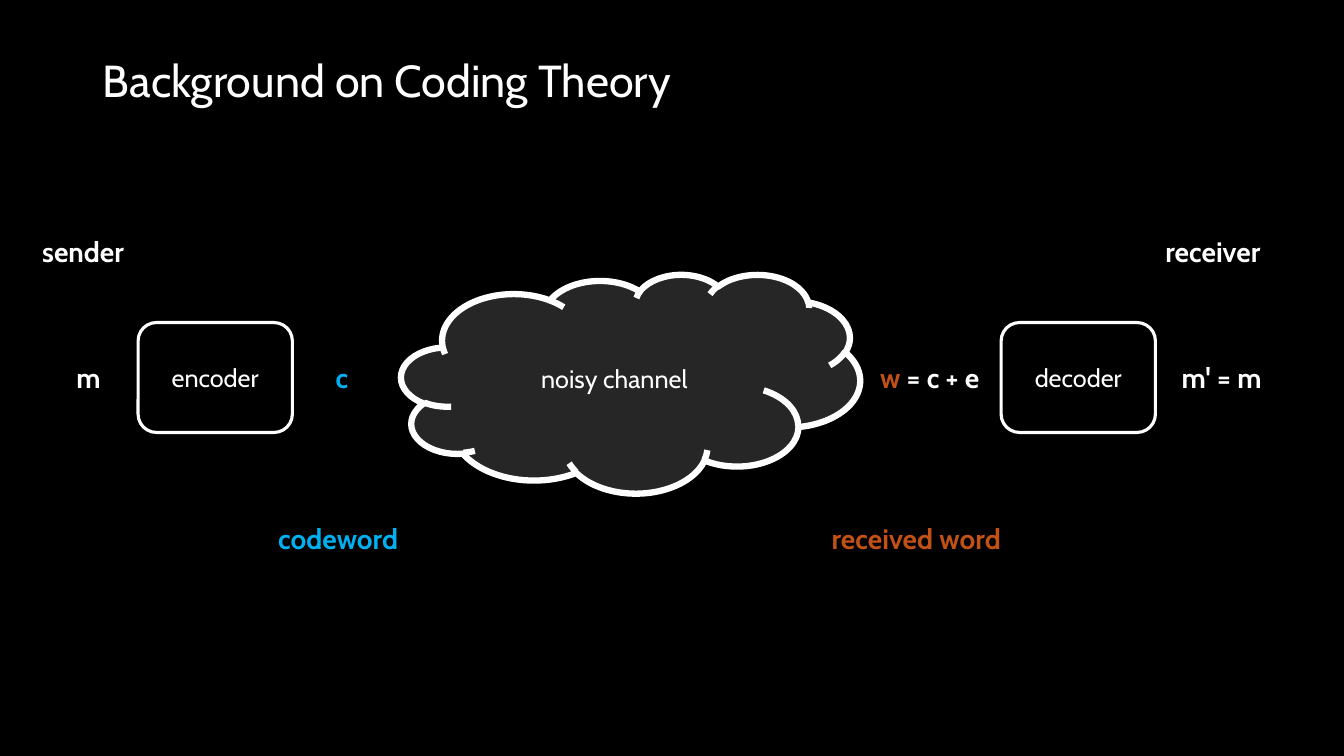
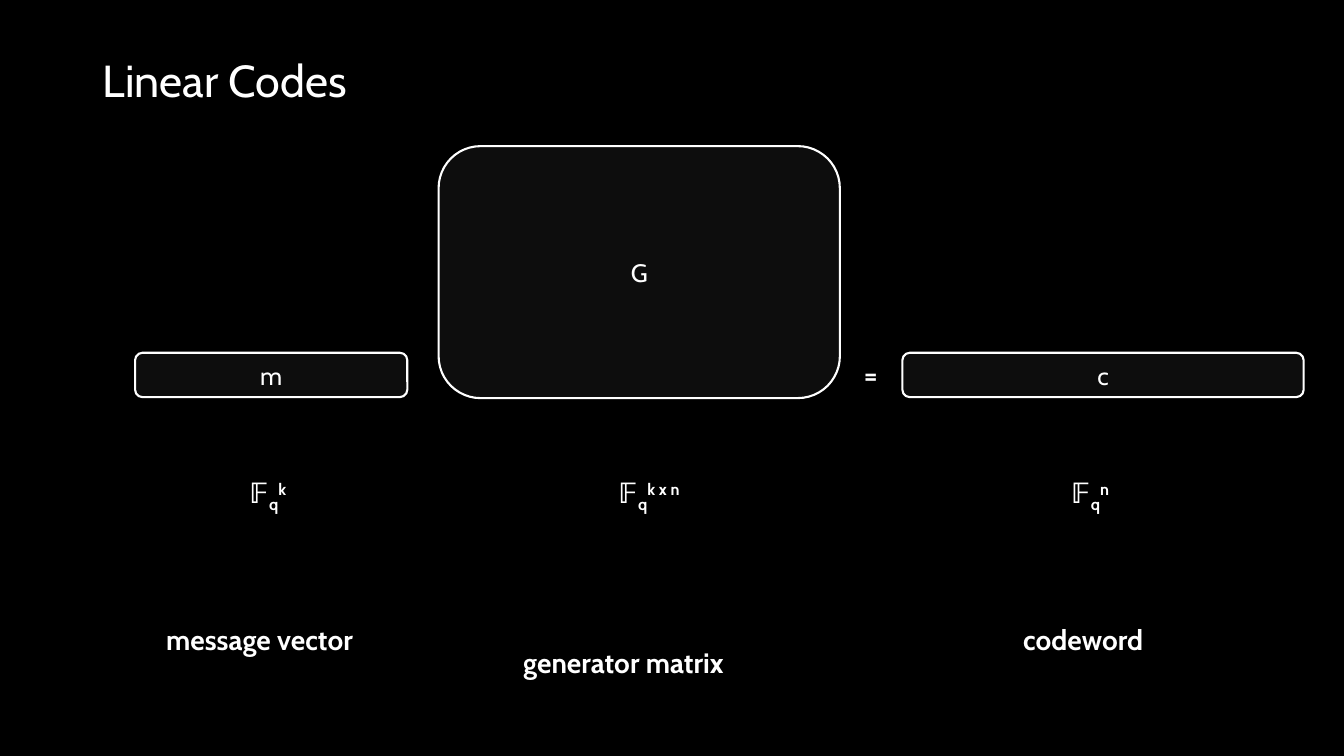
from pptx import Presentation
from pptx.dml.color import RGBColor
from pptx.enum.shapes import MSO_SHAPE
from pptx.enum.text import MSO_ANCHOR, MSO_AUTO_SIZE, PP_ALIGN
from pptx.util import Inches, Pt

BLACK = RGBColor(0x00, 0x00, 0x00)
WHITE = RGBColor(0xFF, 0xFF, 0xFF)
BLUE = RGBColor(0x00, 0xB0, 0xF0)
ORANGE = RGBColor(0xC2, 0x51, 0x15)
CLOUD_GREY = RGBColor(0x26, 0x26, 0x26)
BLOCK_GREY = RGBColor(0x0D, 0x0D, 0x0D)


class Deck:
    """Holds the presentation style and the slide being built."""

    font = "Cabin"
    title_size = 32
    label_size = 20
    shape_size = 18
    label_height = 0.44

    def __init__(self):
        """Start a black widescreen presentation."""
        self.prs = Presentation()
        self.prs.slide_width = Inches(13.33)
        self.prs.slide_height = Inches(7.5)
        fill = self.prs.slide_master.background.fill
        fill.solid()
        fill.fore_color.rgb = BLACK
        self.s = None

    def run(self, p, text, size, color=WHITE, bold=False, baseline=0):
        """Append one formatted run to a paragraph."""
        r = p.add_run()
        r.text = text
        r.font.name = self.font
        r.font.size = Pt(size)
        r.font.bold = bold
        r.font.color.rgb = color
        if baseline:
            r._r.get_or_add_rPr().set("baseline", str(baseline * 1000))

    def slide(self, title):
        """Add a slide with its title."""
        self.s = self.prs.slides.add_slide(self.prs.slide_layouts[5])
        sp = self.s.shapes.title
        sp.left, sp.top = Inches(0.92), Inches(0.4)
        sp.width, sp.height = Inches(11.5), Inches(0.85)
        tf = sp.text_frame
        tf.vertical_anchor = MSO_ANCHOR.MIDDLE
        p = tf.paragraphs[0]
        p.alignment = PP_ALIGN.LEFT
        p.line_spacing = 0.9
        self.run(p, title, self.title_size)

    def text_box(self, x, y, w):
        """Add an empty one-line text box and return its paragraph."""
        sp = self.s.shapes.add_textbox(
            Inches(x), Inches(y), Inches(w), Inches(self.label_height))
        tf = sp.text_frame
        tf.word_wrap = True
        tf.auto_size = MSO_AUTO_SIZE.SHAPE_TO_FIT_TEXT
        return tf.paragraphs[0]

    def label(self, x, y, w, *parts, color=WHITE):
        """Add a bold label; parts after the first are white."""
        p = self.text_box(x, y, w)
        for i, text in enumerate(parts):
            self.run(p, text, self.label_size, WHITE if i else color, True)

    def field(self, x, y, w, power):
        """Add the field symbol with index q and the given exponent."""
        p = self.text_box(x, y, w)
        for text, baseline in (("𝔽", 0), ("q", -25), (power, 30)):
            self.run(p, text, self.label_size, bold=True, baseline=baseline)

    def shape(self, kind, x, y, w, h, text, line, fill=None):
        """Add an outlined shape with centred text."""
        sp = self.s.shapes.add_shape(
            kind, Inches(x), Inches(y), Inches(w), Inches(h))
        sp.shadow.inherit = False
        if fill is None:
            sp.fill.background()
        else:
            sp.fill.solid()
            sp.fill.fore_color.rgb = fill
        sp.line.color.rgb = WHITE
        sp.line.width = Pt(line)
        tf = sp.text_frame
        tf.vertical_anchor = MSO_ANCHOR.MIDDLE
        p = tf.paragraphs[0]
        p.alignment = PP_ALIGN.CENTER
        self.run(p, text, self.shape_size)


def channel_slide(deck):
    """Show a message passing through a noisy channel."""
    deck.slide("Background on Coding Theory")
    role_y, signal_y, word_y = 2.28, 3.53, 5.12
    deck.shape(MSO_SHAPE.CLOUD, 3.98, 2.72, 4.55, 2.17, "noisy channel",
               4.5, CLOUD_GREY)
    for x, text in ((1.37, "encoder"), (9.93, "decoder")):
        deck.shape(MSO_SHAPE.ROUNDED_RECTANGLE, x, 3.2, 1.53, 1.09, text, 2.25)
    deck.label(0.32, role_y, 1.18, "sender")
    deck.label(11.46, role_y, 1.37, "receiver")
    deck.label(0.66, signal_y, 0.5, "m")
    deck.label(3.23, signal_y, 0.37, "c", color=BLUE)
    deck.label(8.63, signal_y, 1.37, "w ", "= c + e", color=ORANGE)
    deck.label(11.62, signal_y, 1.38, "m' = m")
    deck.label(2.66, word_y, 1.49, "codeword", color=BLUE)
    deck.label(8.15, word_y, 2.33, "received word", color=ORANGE)


def linear_codes_slide(deck):
    """Show a codeword as message vector times generator matrix."""
    deck.slide("Linear Codes")
    row_y, row_h, code_w = 3.5, 0.44, 3.98
    for x, y, w, h, text in (
            (1.34, row_y, 2.7, row_h, "m"),
            (4.35, 1.45, code_w, 2.5, "G"),
            (8.95, row_y, code_w, row_h, "c")):
        deck.shape(MSO_SHAPE.ROUNDED_RECTANGLE, x, y, w, h, text, 1.5,
                   BLOCK_GREY)
    deck.label(8.47, row_y, 0.37, "=")
    for x, w, power in ((2.38, 0.6, "k"), (6.04, 0.94, "k x n"),
                        (10.53, 0.68, "n")):
        deck.field(x, 4.67, w, power)
    deck.label(1.55, 6.13, 2.26, "message vector")
    deck.label(5.09, 6.35, 2.51, "generator matrix")
    deck.label(10.05, 6.13, 1.57, "codeword")


def main():
    """Build both slides and save them."""
    deck = Deck()
    channel_slide(deck)
    linear_codes_slide(deck)
    deck.prs.save("out.pptx")


if __name__ == "__main__":
    main()
